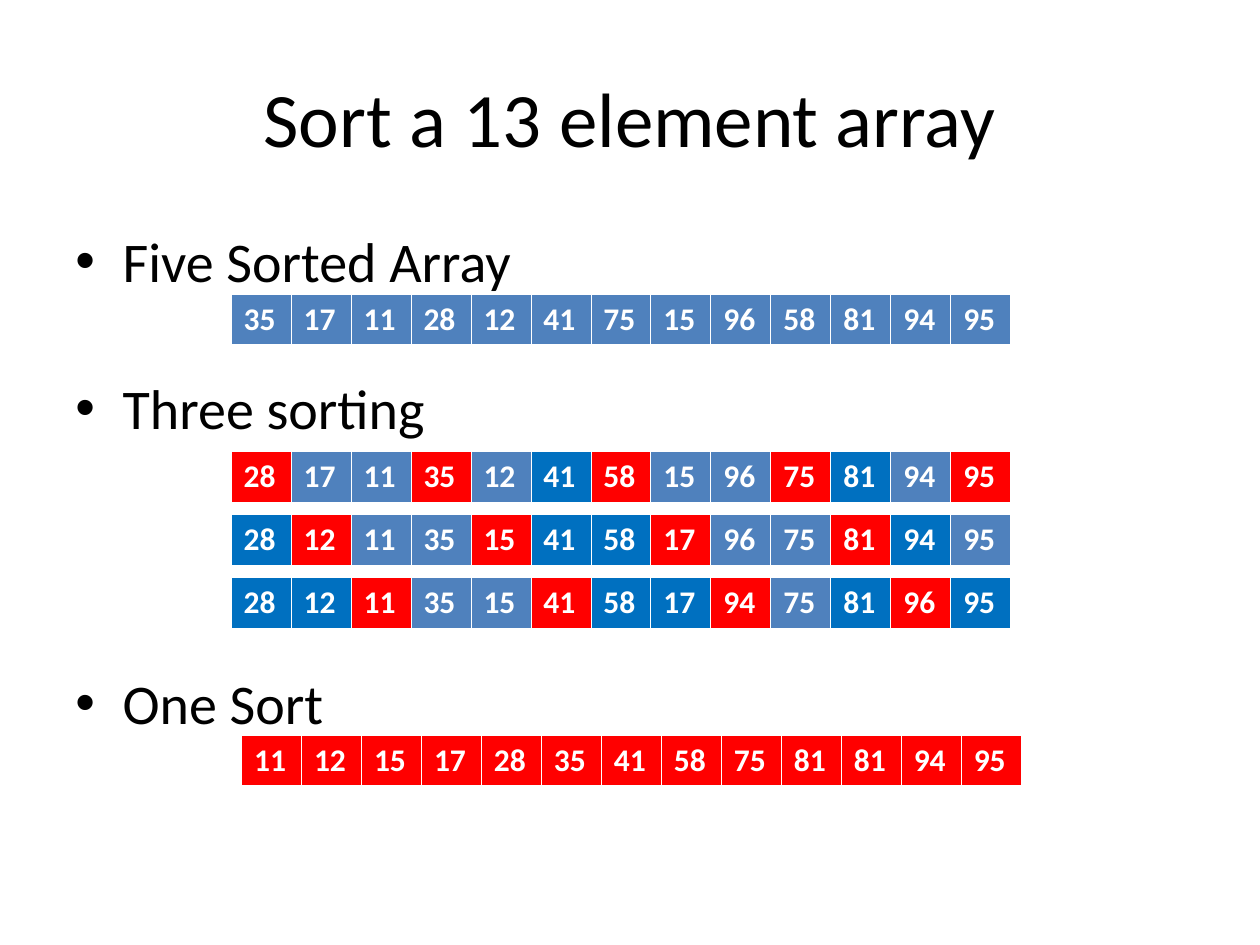
import pptx
import pptx.util
import pptx.dml.color
import pptx.enum.text
import pptx.oxml
import pptx.oxml.ns

Pt = pptx.util.Pt
RGB = pptx.dml.color.RGBColor
ALIGN = pptx.enum.text.PP_ALIGN
ANCHOR = pptx.enum.text.MSO_ANCHOR
qn = pptx.oxml.ns.qn

BLACK = RGB(0x00, 0x00, 0x00)
WHITE = RGB(0xFF, 0xFF, 0xFF)
STEEL = RGB(0x4F, 0x81, 0xBD)
BLUE = RGB(0x00, 0x70, 0xC0)
RED = RGB(0xFF, 0x00, 0x00)
FILLS = {"s": STEEL, "b": BLUE, "r": RED}

UNIT = pptx.util.Inches(10) // 120
HEAD = {"size": Pt(44), "name": "Calibri"}
ITEM = {"size": Pt(32), "name": "Calibri"}
CELL = {"size": Pt(18), "name": "Calibri", "bold": True}
EDGES = {"lnL": 0.45, "lnR": 0.45, "lnT": 0.45, "lnB": 1.47}

TITLE = (6, 3.6, 108, 15)
BODY = (6, 21, 108, 59.4)
ITEMS = [("Five Sorted Array", 1, 8), ("Three sorting", 2, 7),
         ("One Sort", 2, 92)]
SIZE = (74.3, 4.9)
ROWS = [
    (22, 28, "35 17 11 28 12 41 75 15 96 58 81 94 95", "s" * 13),
    (22, 43, "28 17 11 35 12 41 58 15 96 75 81 94 95", "rssrsbrssrbsr"),
    (22, 49, "28 12 11 35 15 41 58 17 96 75 81 94 95", "brssrbbrssrbs"),
    (22, 55, "28 12 11 35 15 41 58 17 94 75 81 96 95", "bbrssrbbrsbrb"),
    (23, 70, "11 12 15 17 28 35 41 58 75 81 81 94 95", "r" * 13),
]


def scale(box):
    return [int(n * UNIT) for n in box]


def style(run, look, color):
    for key, val in look.items():
        setattr(run.font, key, val)
    run.font.color.rgb = color


def add_box(slide, box):
    frame = slide.shapes.add_textbox(*scale(box)).text_frame
    frame.word_wrap = True
    return frame


def add_title(slide, box):
    frame = add_box(slide, box)
    frame.vertical_anchor = ANCHOR.MIDDLE
    para = frame.paragraphs[0]
    para.alignment = ALIGN.CENTER
    run = para.add_run()
    run.text = "Sort a 13 element array"
    style(run, HEAD, BLACK)


def add_mark(para):
    props = para._p.get_or_add_pPr()
    props.set("marL", str(Pt(27)))
    props.set("indent", str(-Pt(27)))
    color = pptx.oxml.parse_xml(
        f'<a:buClr {pptx.oxml.ns.nsdecls("a")}>'
        f'<a:srgbClr val="{BLACK}"/></a:buClr>')
    props.append(color)
    for tag, key, val in (("a:buFont", "typeface", "Arial"),
                          ("a:buChar", "char", "•")):
        props.append(props.makeelement(qn(tag), {key: val}))


def add_items(slide, box):
    frame = add_box(slide, box)
    for i, (text, lines, gap) in enumerate(ITEMS):
        para = frame.add_paragraph() if i else frame.paragraphs[0]
        para.line_spacing = float(lines)
        para.space_before = Pt(gap)
        add_mark(para)
        run = para.add_run()
        run.text = text
        style(run, ITEM, BLACK)


def add_edges(cell):
    props = cell._tc.get_or_add_tcPr()
    for i, (tag, width) in enumerate(EDGES.items()):
        props.insert(i, pptx.oxml.parse_xml(
            f'<a:{tag} {pptx.oxml.ns.nsdecls("a")} w="{Pt(width)}">'
            f'<a:solidFill><a:srgbClr val="{WHITE}"/></a:solidFill>'
            f'</a:{tag}>'))


def add_array(slide, box, nums, codes):
    table = slide.shapes.add_table(1, len(nums), *scale(box)).table
    table.first_row = table.horz_banding = False
    for cell, num, code in zip(table.iter_cells(), nums, codes):
        cell.fill.solid()
        cell.fill.fore_color.rgb = FILLS[code]
        run = cell.text_frame.paragraphs[0].add_run()
        run.text = num
        style(run, CELL, WHITE)
        add_edges(cell)


def main():
    deck = pptx.Presentation()
    deck.slide_width, deck.slide_height = 120 * UNIT, 90 * UNIT
    slide = deck.slides.add_slide(deck.slide_layouts[6])
    add_title(slide, TITLE)
    add_items(slide, BODY)
    for left, top, nums, codes in ROWS:
        add_array(slide, (left, top, *SIZE), nums.split(), codes)
    deck.save("out.pptx")


if __name__ == "__main__":
    main()
